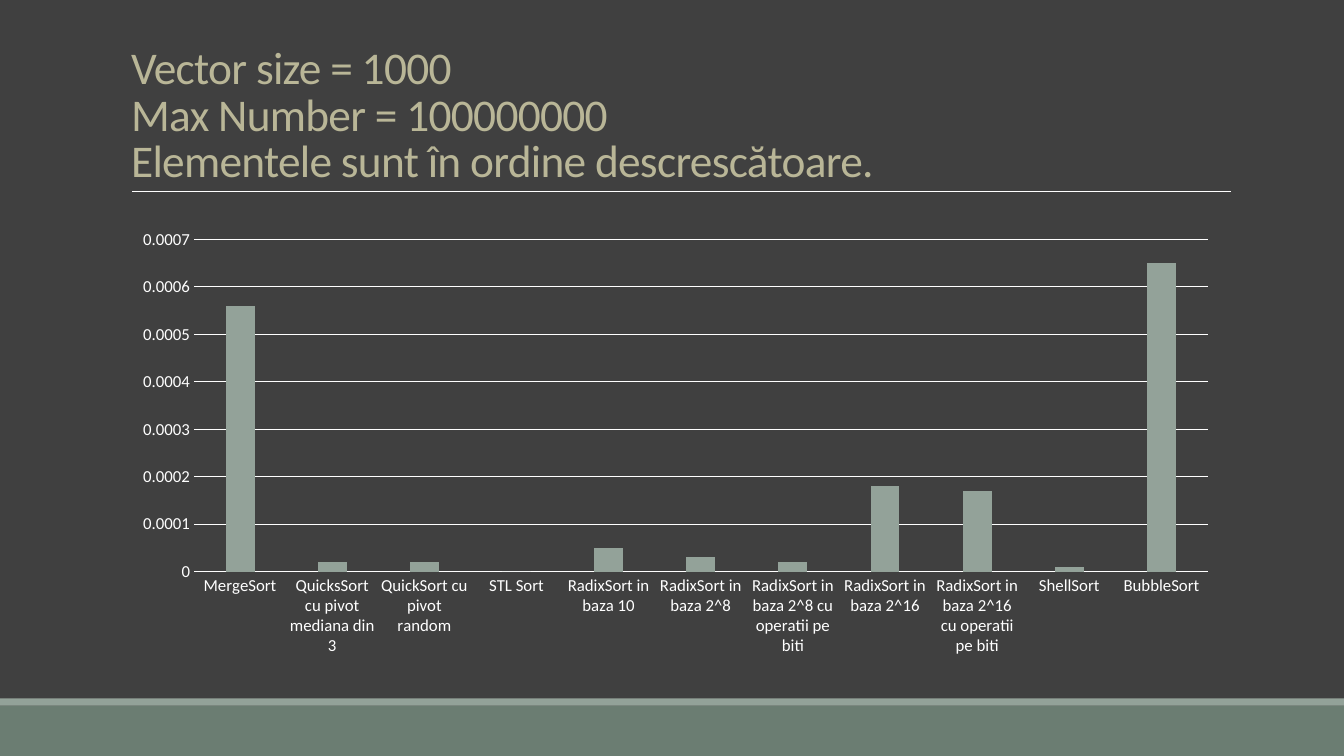
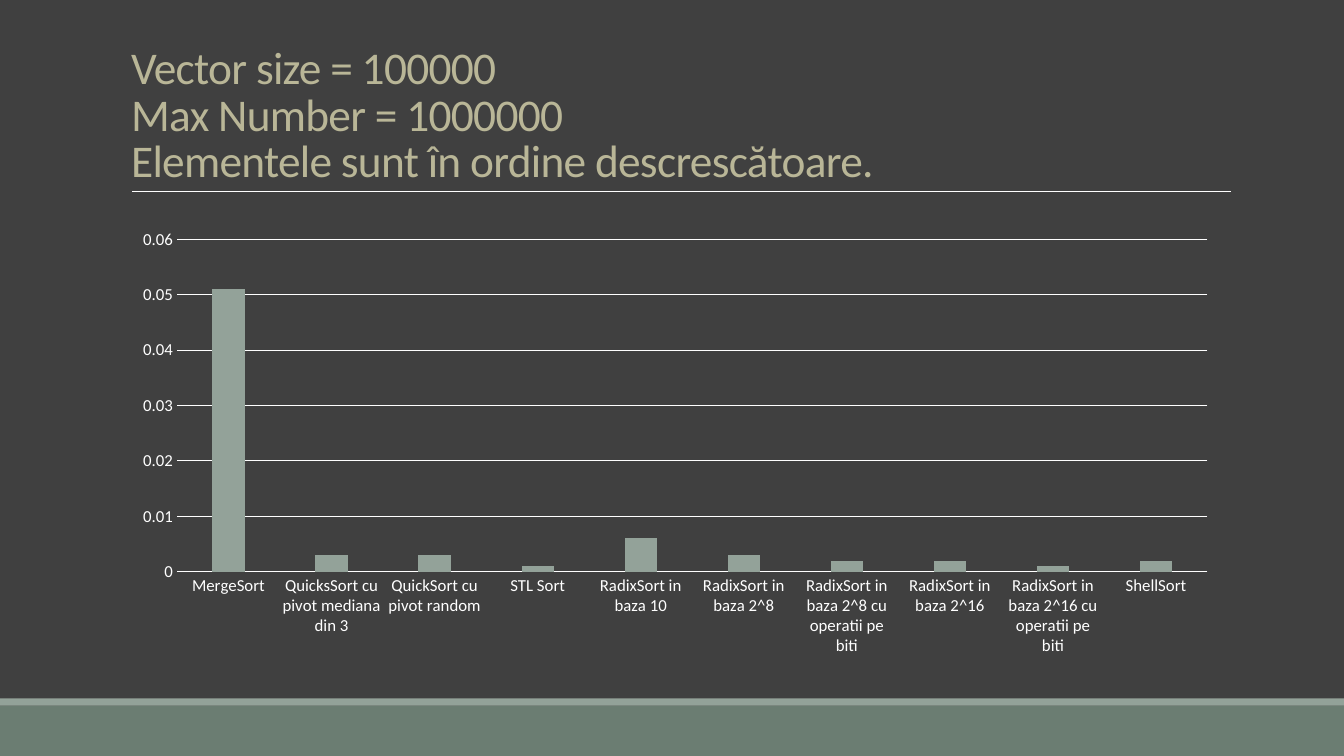
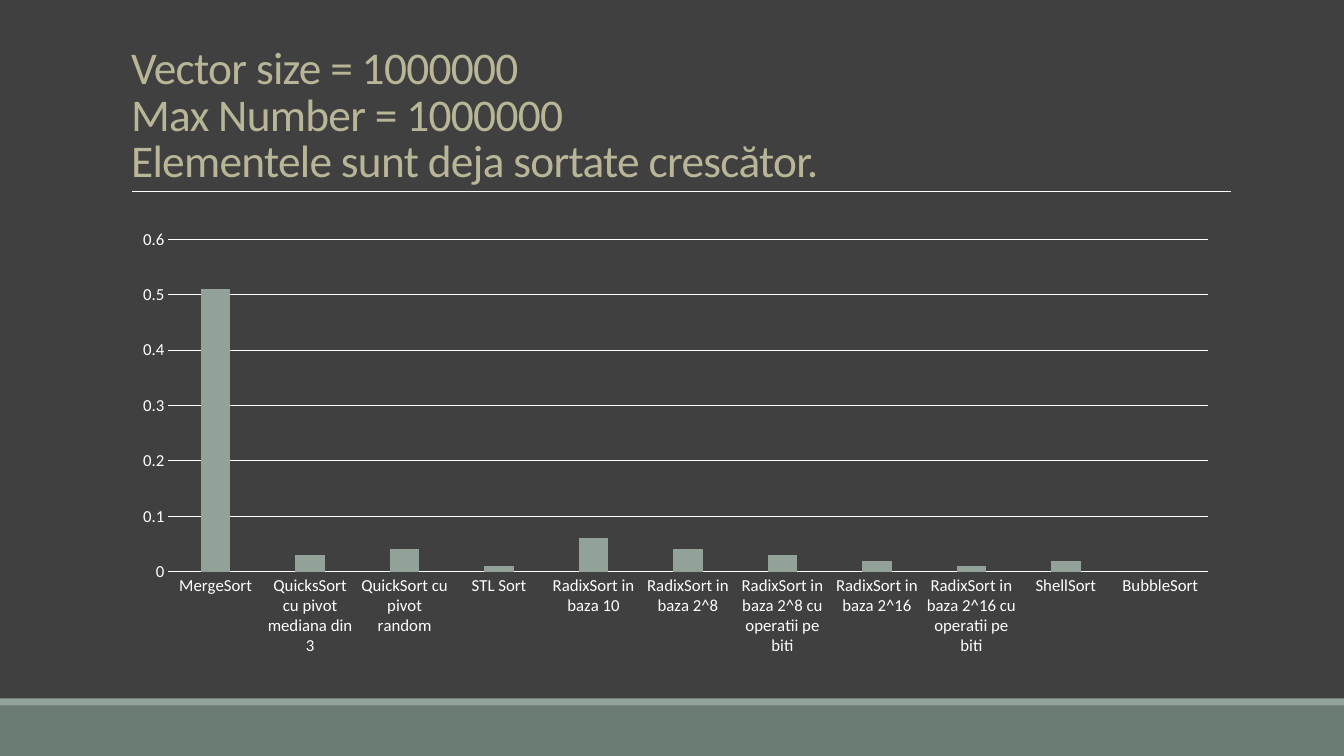
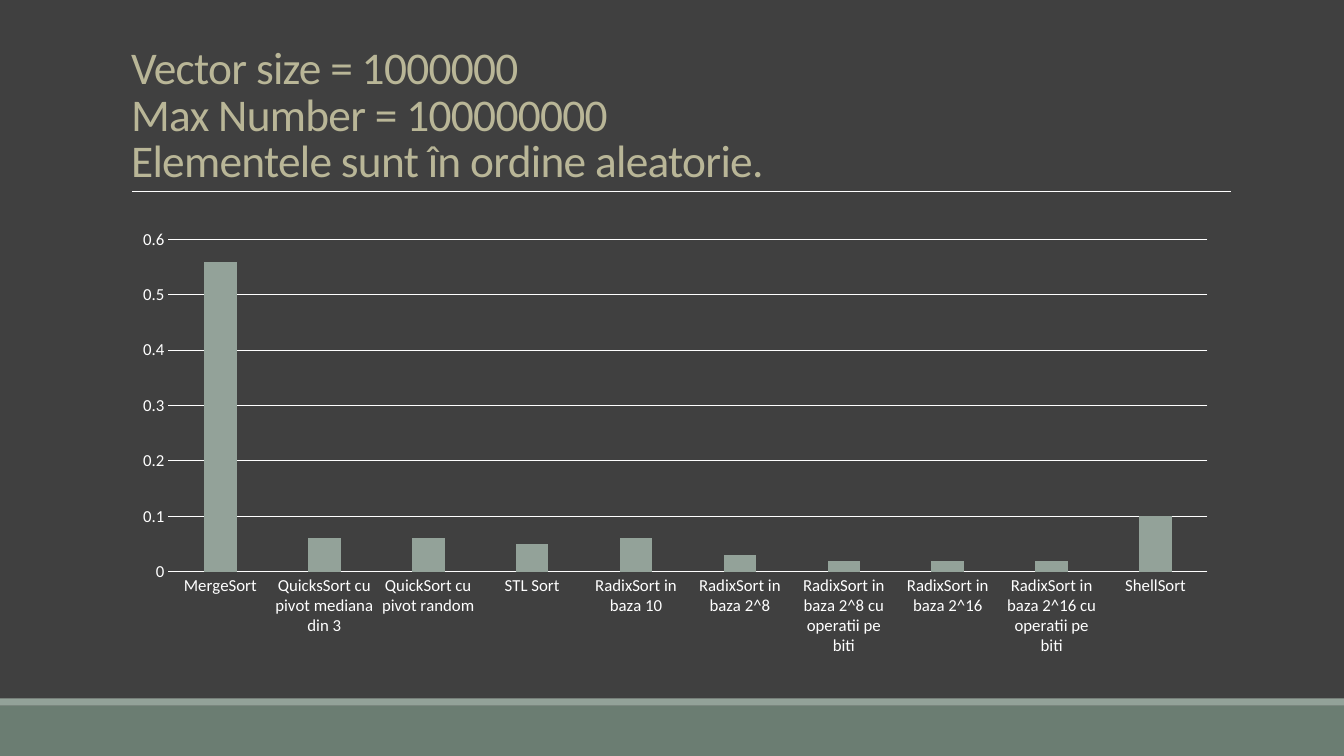
"""Build four slides that compare the run times of sorting algorithms."""
from copy import deepcopy

from pptx import Presentation
from pptx import util as u
from pptx.chart import data as chart_data
from pptx.dml.color import RGBColor
from pptx.enum import chart as charts, shapes, text
from pptx.oxml.ns import qn
from lxml import etree

FONT = "Calibri"
BACKGROUND, WHITE = "404040", "FFFFFF"
SAGE, DARK_SAGE, SAND = "93A299", "6B7D72", "B9B697"
WIDTH, HEIGHT = u.Cm(33.87), u.Cm(19.05)
TITLE_BOX = [u.Cm(n) for n in (3.05, 0.79, 27.94, 4.04)]
CHART_BOX = [u.Cm(n) for n in (3.05, 5.56, 27.94, 11.18)]

ALGORITHMS = [
    "MergeSort",
    "QuicksSort cu pivot mediana din 3",
    "QuickSort cu pivot random",
    "STL Sort",
    "RadixSort in baza 10",
    "RadixSort in baza 2^8",
    "RadixSort in baza 2^8 cu operatii pe biti",
    "RadixSort in baza 2^16",
    "RadixSort in baza 2^16 cu operatii pe biti",
    "ShellSort",
    "BubbleSort",
]

TESTS = [
    (1000, 100000000, "Elementele sunt în ordine descrescătoare.",
     [0.00056, 0.00002, 0.00002, 0, 0.00005, 0.00003, 0.00002, 0.00018,
      0.00017, 0.00001, 0.00065]),
    (100000, 1000000, "Elementele sunt în ordine descrescătoare.",
     [0.051, 0.003, 0.003, 0.001, 0.006, 0.003, 0.002, 0.002, 0.001, 0.002]),
    (1000000, 1000000, "Elementele sunt deja sortate crescător.",
     [0.51, 0.03, 0.04, 0.01, 0.06, 0.04, 0.03, 0.02, 0.01, 0.02, 0]),
    (1000000, 100000000, "Elementele sunt în ordine aleatorie.",
     [0.56, 0.06, 0.06, 0.05, 0.06, 0.03, 0.02, 0.02, 0.02, 0.1]),
]


def rgb(code):
    """Return the colour for a hex string."""
    return RGBColor.from_string(code)


def set_font(font, size, color):
    """Format a font of a text or of a chart."""
    font.name = FONT
    font.size = u.Pt(size)
    font.bold = False
    font.color.rgb = rgb(color)


def set_line(line, color, width):
    """Give a line its colour and its width in points."""
    line.color.rgb = rgb(color)
    line.width = u.Pt(width)


def write(frame, lines, *, size, color, spacing=1.0, tracking=0):
    """Write lines into one left-aligned paragraph, parted by line breaks."""
    para = frame.paragraphs[0]
    para.alignment = text.PP_ALIGN.LEFT
    para.line_spacing = spacing
    for index, line in enumerate(lines):
        if index:
            para.add_line_break()
        span = para.add_run()
        span.text = line
        set_font(span.font, size, color)
        properties = span.font._element if hasattr(span.font, "_element") else span._r.get_or_add_rPr()
        properties.set("spc", str(round(tracking * 100)))
    for line_break in para._p.findall(qn("a:br")):
        line_break.insert(0, deepcopy(properties))


def add_band(page, top, height, color):
    """Add a plain band across the whole page."""
    band = page.shapes.add_shape(
        shapes.MSO_SHAPE.RECTANGLE, 0, u.Cm(top), WIDTH, u.Cm(height))
    band.shadow.inherit = False
    band.fill.solid()
    band.fill.fore_color.rgb = rgb(color)
    band.line.fill.background()
    return band


def add_rule(page, left, right, y):
    """Add the thin horizontal rule below the title."""
    rule = page.shapes.add_connector(
        shapes.MSO_CONNECTOR.STRAIGHT, u.Cm(left), u.Cm(y), u.Cm(right), u.Cm(y))
    set_line(rule.line, WHITE, 0.5)
    etree.SubElement(rule._element.spPr, qn("a:effectLst"))
    return rule


def style_layout(layout, page):
    """Set up the shared layout, moving the bands and the rule onto it."""
    layout.background.fill.solid()
    layout.background.fill.fore_color.rgb = rgb(BACKGROUND)
    for holder in list(layout.placeholders):
        if holder.placeholder_format.type == shapes.PP_PLACEHOLDER.TITLE:
            holder.left, holder.top, holder.width, holder.height = TITLE_BOX
        else:
            holder.element.getparent().remove(holder.element)
    for part in (add_band(page, 17.78, 1.27, DARK_SAGE),
                 add_band(page, 17.6, 0.18, SAGE),
                 add_rule(page, 3.33, 31.01, 4.83)):
        layout.shapes.element.append(part._element)


def add_title(page, lines):
    """Fill the title placeholder."""
    title = page.shapes.title
    title.left, title.top, title.width, title.height = TITLE_BOX
    frame = title.text_frame
    frame.word_wrap = True
    frame.auto_size = text.MSO_AUTO_SIZE.NONE
    frame.vertical_anchor = text.MSO_ANCHOR.BOTTOM
    write(frame, lines, size=32.4, color=SAND, spacing=0.85, tracking=-0.5)


def style_axis(axis):
    """Give an axis its font and take off its tick marks."""
    set_font(axis.tick_labels.font, 12, WHITE)
    axis.major_tick_mark = axis.minor_tick_mark = charts.XL_TICK_MARK.NONE


def add_column_chart(page, values):
    """Add the column chart of the run times."""
    times = chart_data.CategoryChartData(number_format="General")
    times.categories = ALGORITHMS[:len(values)]
    times.add_series("Series 1", values)
    chart = page.shapes.add_chart(
        charts.XL_CHART_TYPE.COLUMN_CLUSTERED, *CHART_BOX, times).chart
    chart.has_title = chart.has_legend = False
    set_font(chart.font, 10, WHITE)

    plot = chart.plots[0]
    plot.vary_by_categories = False
    plot.gap_width, plot.overlap = 219, -27
    fill = plot.series[0].format.fill
    fill.solid()
    fill.fore_color.rgb = rgb(SAGE)

    style_axis(chart.category_axis)
    set_line(chart.category_axis.format.line, WHITE, 0.75)
    value_axis = chart.value_axis
    style_axis(value_axis)
    value_axis.format.line.fill.background()
    value_axis.has_major_gridlines = True
    set_line(value_axis.major_gridlines.format.line, WHITE, 0.75)
    value_axis.tick_labels.number_format = "General"
    value_axis.tick_labels.number_format_is_linked = False


def main():
    """Build and save the deck."""
    deck = Presentation()
    deck.slide_width, deck.slide_height = WIDTH, HEIGHT
    layout = deck.slide_layouts.get_by_name("Title Only")
    pages = [deck.slides.add_slide(layout) for _ in TESTS]
    style_layout(layout, pages[0])
    for page, (size, largest, order, values) in zip(pages, TESTS):
        add_title(page, [f"Vector size = {size}", f"Max Number = {largest}", order])
        add_column_chart(page, values)
    deck.save("out.pptx")


if __name__ == "__main__":
    main()
